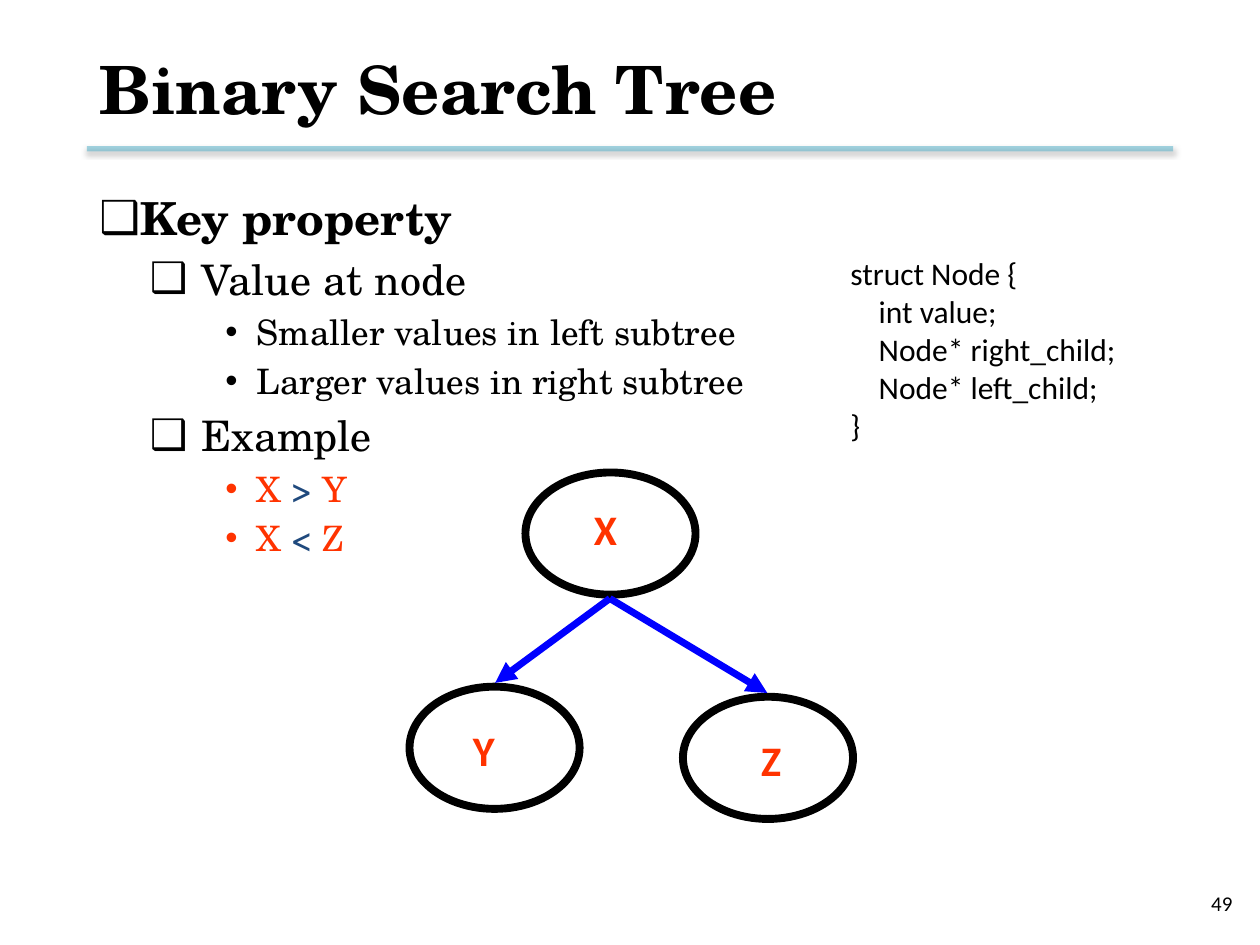
from dataclasses import dataclass

from lxml import etree
from pptx import Presentation
from pptx import util as u
from pptx.dml.color import RGBColor
from pptx.enum import shapes, text
from pptx.oxml import ns


@dataclass(frozen=True)
class Theme:
    """Hold the fonts, colours and type sizes of the page."""
    serif: str = "TeX Gyre Schola"
    sans: str = "Calibri"
    black: str = "000000"
    red: str = "FF3300"
    navy: str = "1F497D"
    blue: str = "0000FF"
    teal: str = "4BACC6"
    title: int = 38
    node: int = 24
    code: int = 18
    number: int = 12
    levels: tuple = (26, 24, 20)


THEME = Theme()
BULLETS = (("❑", 0.25, -0.45), ("❑", 0.81, -0.41), ("•", 1.25, -0.25))
OUTLINE = (
    (0, [("Key property", THEME.black)]),
    (1, [("Value at node", THEME.black)]),
    (2, [("Smaller values in left subtree", THEME.black)]),
    (2, [("Larger values in right subtree", THEME.black)]),
    (1, [("Example", THEME.black)]),
    (2, [("X ", THEME.red), (">", THEME.navy), (" Y", THEME.red)]),
    (2, [("X ", THEME.red), ("<", THEME.navy), (" Z", THEME.red)]),
)
CODE = ("struct Node {", "    int value;", "    Node* right_child;",
        "    Node* left_child;", "}")
NODE_SIZE = (1.35, 0.97)
NODES = (
    ("X", (4.17, 3.75), (4.33, 3.95, 0.95, 0.5)),
    ("Y", (3.25, 5.45), (3.5, 5.7, 0.68, 0.5)),
    ("Z", (5.42, 5.53), (5.58, 5.78, 1.08, 0.5)),
)
ROOT_EXIT = (4.84, 4.75)
CHILD_ENTRIES = ((6.09, 5.5), (3.93, 5.42))


def inches(values):
    """Turn numbers into lengths."""
    return [u.Inches(value) for value in values]


def apply(target, values):
    """Set each named attribute on the target."""
    for name, value in values.items():
        setattr(target, name, value)


def add_node(parent, tag, **attributes):
    """Append a DrawingML element and return it."""
    return etree.SubElement(parent, ns.qn(tag), attributes)


def add_span(para, words, size, colour, face, bold=False):
    """Add one run of formatted text."""
    span = para.add_run()
    span.text = words
    apply(span.font, {"size": u.Pt(size), "name": face, "bold": bold})
    span.font.color.rgb = RGBColor.from_string(colour)


def add_box(page, place, anchor=text.MSO_ANCHOR.TOP):
    """Add a wrapping text box and return its text frame."""
    frame = page.shapes.add_textbox(*inches(place)).text_frame
    apply(frame, {"word_wrap": True, "vertical_anchor": anchor})
    return frame


def add_label(page, place, lines, size, colour, face, bold=False,
              align=text.PP_ALIGN.LEFT, anchor=text.MSO_ANCHOR.TOP):
    """Add a box of lines that share one format."""
    frame = add_box(page, place, anchor)
    for index, line in enumerate(lines):
        para = frame.add_paragraph() if index else frame.paragraphs[0]
        para.alignment = align
        add_span(para, line, size, colour, face, bold)


def add_outline(page, place):
    """Add the bulleted text in its three levels."""
    frame = add_box(page, place)
    for index, (level, spans) in enumerate(OUTLINE):
        para = frame.add_paragraph() if index else frame.paragraphs[0]
        mark, margin, indent = BULLETS[level]
        size = THEME.levels[level]
        props = para._p.get_or_add_pPr()
        props.set("marL", str(u.Inches(margin)))
        props.set("indent", str(u.Inches(indent)))
        add_node(props, "a:buFont", typeface="Arial")
        add_node(props, "a:buChar", char=mark)
        apply(para, {"level": level, "space_before": u.Pt(size * 0.2 if index else 0)})
        for words, colour in spans:
            add_span(para, words, size, colour, THEME.serif, level == 0)


def add_line(page, start, end, colour, width):
    """Add a straight line; return its line and effect elements."""
    line = page.shapes.add_connector(
        shapes.MSO_CONNECTOR.STRAIGHT, *inches(start + end))
    line.line.width = u.Pt(width)
    line.line.color.rgb = RGBColor.from_string(colour)
    props = line._element.spPr
    return props.find(ns.qn("a:ln")), add_node(props, "a:effectLst")


def add_rule(page):
    """Add the translucent title rule with its soft shadow."""
    stroke, effects = add_line(page, (0.69, 1.18), (9.31, 1.18), THEME.teal, 3)
    add_node(stroke.find(".//" + ns.qn("a:srgbClr")), "a:alpha", val="50000")
    shadow = add_node(effects, "a:outerShdw", blurRad=str(u.Pt(3.1)),
                      dist=str(u.Pt(1.6)), dir="5400000", rotWithShape="0")
    colour = add_node(shadow, "a:srgbClr", val=THEME.black)
    add_node(colour, "a:alpha", val="38000")


def add_arrow(page, start, end):
    """Add an arrow from a parent to a child."""
    stroke, _ = add_line(page, start, end, THEME.blue, 4)
    add_node(stroke, "a:tailEnd", type="triangle")


def add_ellipse(page, corner):
    """Add the outline of a tree node."""
    ellipse = page.shapes.add_shape(
        shapes.MSO_SHAPE.OVAL, *inches(corner + NODE_SIZE))
    ellipse.shadow.inherit = False
    ellipse.fill.background()
    ellipse.line.width = u.Pt(4.5)
    ellipse.line.color.rgb = RGBColor.from_string(THEME.black)


def add_tree(page):
    """Add the nodes, arrows and node names."""
    for _, corner, _ in NODES:
        add_ellipse(page, corner)
    for entry in CHILD_ENTRIES:
        add_arrow(page, ROOT_EXIT, entry)
    for name, _, place in NODES:
        add_label(page, place, [name], THEME.node, THEME.red, THEME.sans,
                  bold=True, align=text.PP_ALIGN.CENTER)


def main():
    """Build the deck and save it."""
    deck = Presentation()
    apply(deck, {"slide_width": u.Inches(10), "slide_height": u.Inches(7.5)})
    page = deck.slides.add_slide(deck.slide_layouts[6])
    add_rule(page)
    add_label(page, (7.55, 6.97, 2.33, 0.4), ["49"], THEME.number, THEME.black,
              THEME.sans, align=text.PP_ALIGN.RIGHT, anchor=text.MSO_ANCHOR.MIDDLE)
    add_label(page, (0.69, 0.17, 8.62, 1.06), ["Binary Search Tree"], THEME.title,
              THEME.black, THEME.serif, bold=True, anchor=text.MSO_ANCHOR.MIDDLE)
    add_outline(page, (0.69, 1.46, 8.62, 4.97))
    add_tree(page)
    add_label(page, (6.65, 1.97, 2.65, 1.62), CODE, THEME.code, THEME.black, THEME.sans)
    deck.save("out.pptx")


if __name__ == "__main__":
    main()
